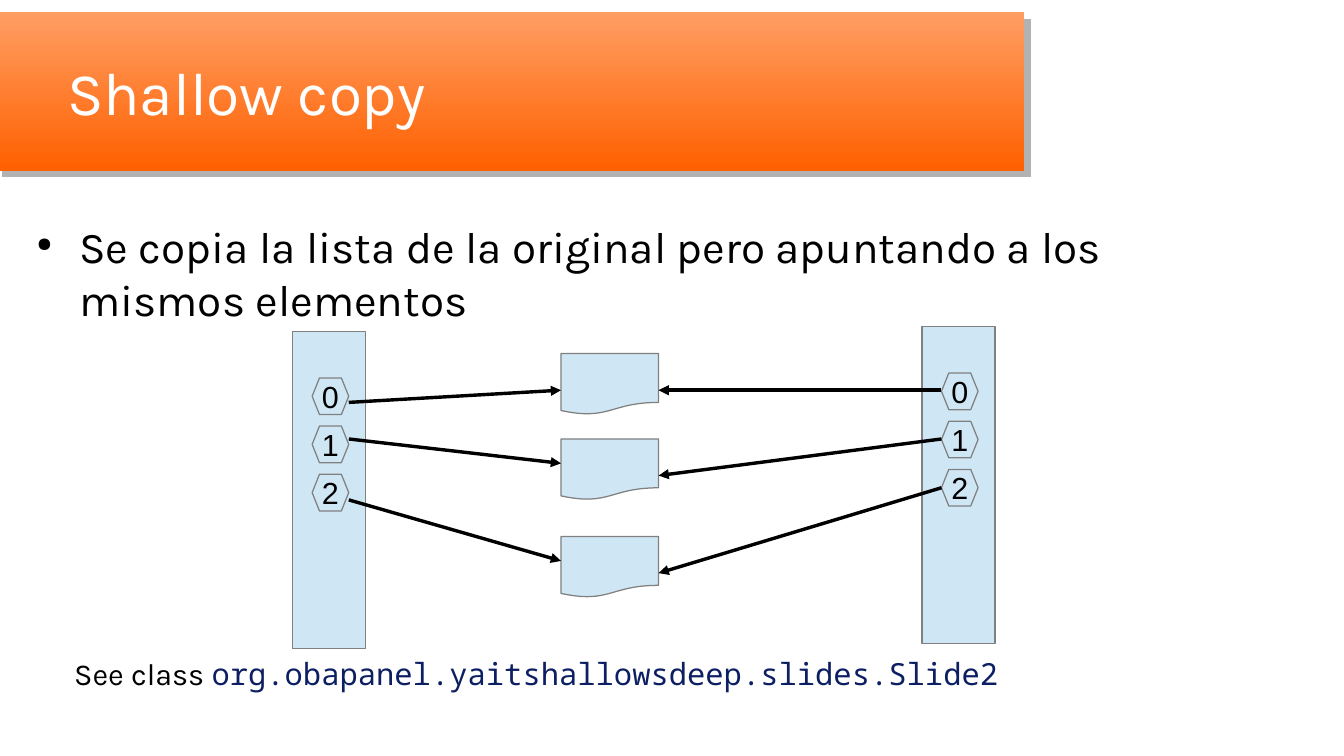
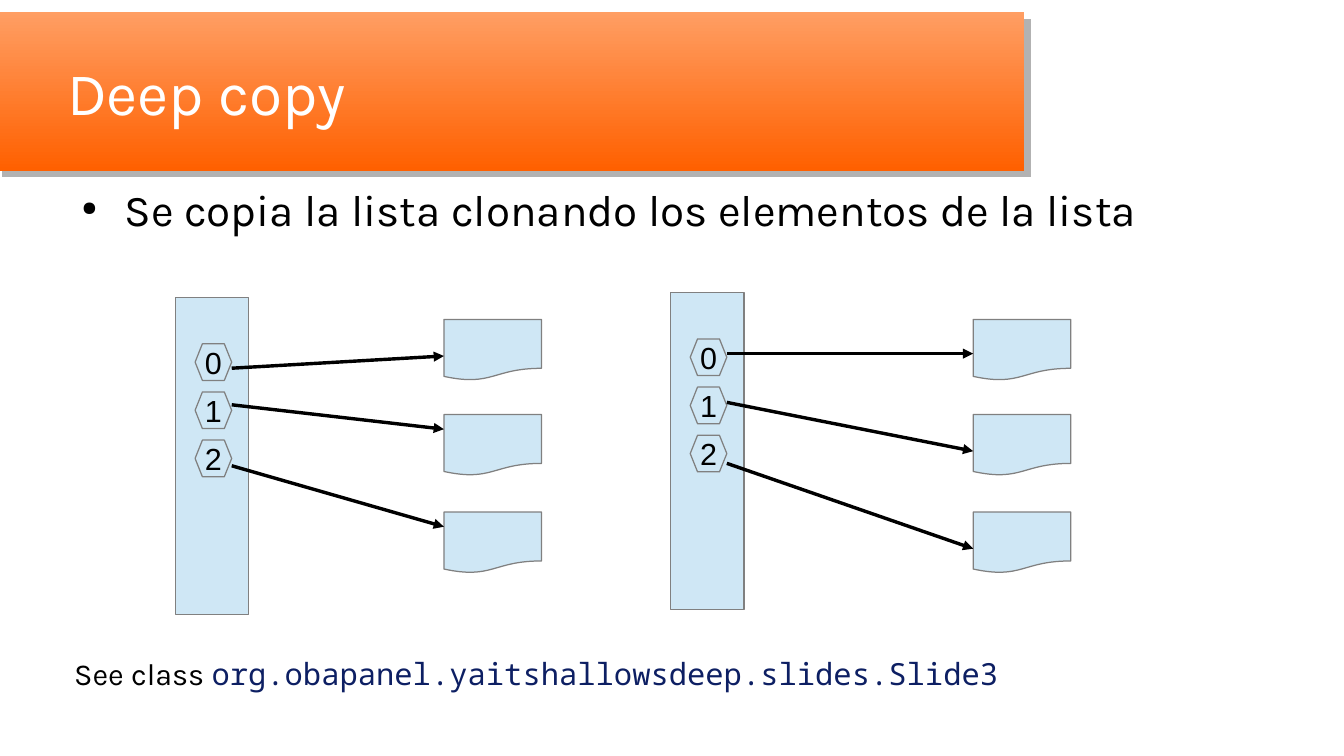
import dataclasses

import lxml.etree
import pptx
import pptx.dml.color
import pptx.enum.shapes
import pptx.enum.text
import pptx.oxml.ns
import pptx.presentation
import pptx.shapes.autoshape
import pptx.slide
import pptx.text.text
import pptx.util

RGBColor = pptx.dml.color.RGBColor
Shape = pptx.enum.shapes.MSO_SHAPE
qn = pptx.oxml.ns.qn

# Shared colours and fonts
ORANGE, PEACH = RGBColor(0xFF, 0x60, 0x00), RGBColor(0xFF, 0x9E, 0x63)
WHITE, BLACK = RGBColor(0xFF, 0xFF, 0xFF), RGBColor(0, 0, 0)
PALE_BLUE, GREY = RGBColor(0xCF, 0xE7, 0xF5), RGBColor(0x80, 0x80, 0x80)
NAVY = RGBColor(0x0D, 0x1F, 0x63)
SHADOW_HEX = "B2B2B2"
TEXT_FONT, CODE_FONT, LABEL_FONT = "Karla", "Noto Sans Mono", "Arial"

# The slide is a grid of square cells, ten to the inch
COLUMNS, ROWS = 110.2, 62
LIST_WIDTH, LIST_HEIGHT = 6, 26
SLOT_SIZE, SLOT_STEP, SLOT_COUNT = 3, 3.95, 3
SLOT_LEFT, SLOT_TOP = 1.6, 3.8
DOCUMENT_WIDTH, DOCUMENT_HEIGHT = 8, 5


@dataclasses.dataclass(frozen=True)
class Documents:
    """A stack of list elements."""
    left: float
    tops: tuple[float, ...]


@dataclasses.dataclass(frozen=True)
class ElementList:
    """A list whose arrows run between rows counted from its top."""
    left: float
    top: float
    target_x: float
    arrows: tuple[tuple[float, float], ...]


@dataclasses.dataclass(frozen=True)
class CopySlide:
    title: str
    statement: str
    statement_at: tuple[float, float]
    class_name: str
    documents: tuple[Documents, ...]
    lists: tuple[ElementList, ...]


SOURCE_ARROWS = ((5.8, 4.8), (8.8, 10.8), (13.8, 18.8))
SHALLOW_TOPS = (29, 36, 44)
DEEP_TOPS = (26.2, 34, 42)

SLIDES = (
    CopySlide(
        "Shallow copy",
        "Se copia la lista de la original pero apuntando a los mismos elementos",
        (1.8, 18),
        "org.obapanel.yaitshallowsdeep.slides.Slide2",
        (Documents(46, SHALLOW_TOPS),),
        (ElementList(24, 27.2, 46, SOURCE_ARROWS),
         ElementList(75.6, 26.8, 54, ((5.2, 5.2), (9.2, 12.2), (13.2, 20.2)))),
    ),
    CopySlide(
        "Deep copy",
        "Se copia la lista clonando los elementos de la lista",
        (5.5, 15),
        "org.obapanel.yaitshallowsdeep.slides.Slide3",
        (Documents(36.4, DEEP_TOPS), Documents(79.8, DEEP_TOPS)),
        (ElementList(14.4, 24.4, 36.4, SOURCE_ARROWS),
         ElementList(55, 24, 79.8, ((5, 5), (9, 13), (14, 21)))),
    ),
)


def cells(count: float) -> pptx.util.Emu:
    return pptx.util.Inches(count / 10)


def box(*sides: float) -> tuple[pptx.util.Emu, ...]:
    return tuple(cells(side) for side in sides)


def style(font: pptx.text.text.Font, name: str, size: float, color: RGBColor) -> None:
    font.name, font.size = name, pptx.util.Pt(size)
    font.color.rgb = color


def clear_margins(frame: pptx.text.text.TextFrame) -> None:
    frame.margin_left = frame.margin_right = frame.margin_top = frame.margin_bottom = 0


# Title band and title
def add_title(slide: pptx.slide.Slide, text: str) -> None:
    band = slide.shapes.add_shape(Shape.RECTANGLE, *box(-0.4, 1, 84.4, 13))
    band.fill.gradient()
    band.fill.gradient_angle = 90
    for stop, color in zip(band.fill.gradient_stops, (ORANGE, PEACH)):
        stop.color.rgb = color
    band.line.fill.background()
    band.shadow.inherit = False
    effects = band._element.spPr.find(qn("a:effectLst"))
    shadow = lxml.etree.SubElement(
        effects, qn("a:outerShdw"), dist=str(pptx.util.Pt(5.7)),
        dir=str(45 * 60000), algn="tl", rotWithShape="0")
    lxml.etree.SubElement(shadow, qn("a:srgbClr"), val=SHADOW_HEX)

    title = slide.shapes.title
    title.left, title.top, title.width, title.height = box(5.5, 2.4, 76.8, 10.2)
    band._element.getparent().insert(2, band._element)  # behind the title
    frame = title.text_frame
    frame.text = text
    clear_margins(frame)
    frame.auto_size = pptx.enum.text.MSO_AUTO_SIZE.NONE
    frame.vertical_anchor = pptx.enum.text.MSO_ANCHOR.MIDDLE
    paragraph = frame.paragraphs[0]
    paragraph.alignment = pptx.enum.text.PP_ALIGN.LEFT
    style(paragraph.font, TEXT_FONT, 35.7, WHITE)


# Bulleted statement
def add_statement(slide: pptx.slide.Slide, text: str, at: tuple[float, float]) -> None:
    frame = slide.shapes.add_textbox(*box(*at, 99.2, 36)).text_frame
    frame.word_wrap = True
    clear_margins(frame)
    paragraph = frame.paragraphs[0]
    paragraph.text = text
    paragraph.space_after = pptx.util.Pt(11.5)
    properties = paragraph._p.get_or_add_pPr()
    properties.set("marL", str(cells(4.7)))
    properties.set("indent", str(cells(-3.5)))
    bullet_color = lxml.etree.SubElement(properties, qn("a:buClr"))
    lxml.etree.SubElement(bullet_color, qn("a:srgbClr"), val=str(BLACK))
    lxml.etree.SubElement(properties, qn("a:buSzPct"), val="45000")
    lxml.etree.SubElement(properties, qn("a:buChar"), char="●")
    style(paragraph.font, TEXT_FONT, 26, BLACK)


# Reference to the example class
def add_class_reference(slide: pptx.slide.Slide, class_name: str) -> None:
    frame = slide.shapes.add_textbox(*box(5.1, 53.2, 77.8, 4.4)).text_frame
    frame.word_wrap = False
    paragraph = frame.paragraphs[0]
    for text, font, color in (("See class ", TEXT_FONT, BLACK),
                              (class_name, CODE_FONT, NAVY)):
        run = paragraph.add_run()
        run.text = text
        style(run.font, font, 18, color)


# Diagram parts
def add_node(slide: pptx.slide.Slide, kind: Shape, left: float, top: float,
             width: float, height: float) -> pptx.shapes.autoshape.Shape:
    node = slide.shapes.add_shape(kind, *box(left, top, width, height))
    node.shadow.inherit = False
    node.fill.solid()
    node.fill.fore_color.rgb = PALE_BLUE
    node.line.color.rgb = GREY
    node.line.width = 0
    return node


def add_slot(slide: pptx.slide.Slide, index: int, left: float, top: float) -> None:
    slot = add_node(slide, Shape.FLOWCHART_PREPARATION, left, top, SLOT_SIZE, SLOT_SIZE)
    frame = slot.text_frame
    frame.word_wrap = False
    frame.vertical_anchor = pptx.enum.text.MSO_ANCHOR.MIDDLE
    paragraph = frame.paragraphs[0]
    paragraph.text = str(index)
    paragraph.alignment = pptx.enum.text.PP_ALIGN.CENTER
    style(paragraph.font, LABEL_FONT, 18, BLACK)


def add_arrow(slide: pptx.slide.Slide, *ends: float) -> None:
    arrow = slide.shapes.add_connector(
        pptx.enum.shapes.MSO_CONNECTOR.STRAIGHT, *box(*ends))
    arrow.line.color.rgb = BLACK
    arrow.line.width = 0
    lxml.etree.SubElement(arrow.line._get_or_add_ln(), qn("a:tailEnd"), type="triangle")
    lxml.etree.SubElement(arrow._element.spPr, qn("a:effectLst"))


def add_list(slide: pptx.slide.Slide, column: ElementList) -> None:
    add_node(slide, Shape.FLOWCHART_PROCESS, column.left, column.top,
             LIST_WIDTH, LIST_HEIGHT)
    slot_left = column.left + SLOT_LEFT
    for index in range(SLOT_COUNT):
        add_slot(slide, index, slot_left, column.top + SLOT_TOP + index * SLOT_STEP)
    points_right = column.target_x > column.left
    start_x = slot_left + SLOT_SIZE if points_right else slot_left
    for start, end in column.arrows:
        add_arrow(slide, start_x, column.top + start, column.target_x, column.top + end)


def add_copy_slide(deck: pptx.presentation.Presentation, content: CopySlide) -> None:
    slide = deck.slides.add_slide(deck.slide_layouts.get_by_name("Title Only"))
    add_title(slide, content.title)
    add_statement(slide, content.statement, content.statement_at)
    add_class_reference(slide, content.class_name)
    for stack in content.documents:
        for top in stack.tops:
            add_node(slide, Shape.FLOWCHART_DOCUMENT, stack.left, top,
                     DOCUMENT_WIDTH, DOCUMENT_HEIGHT)
    for column in content.lists:
        add_list(slide, column)


def main() -> None:
    deck = pptx.Presentation()
    deck.slide_width, deck.slide_height = box(COLUMNS, ROWS)
    for content in SLIDES:
        add_copy_slide(deck, content)
    deck.save("out.pptx")


if __name__ == "__main__":
    main()
